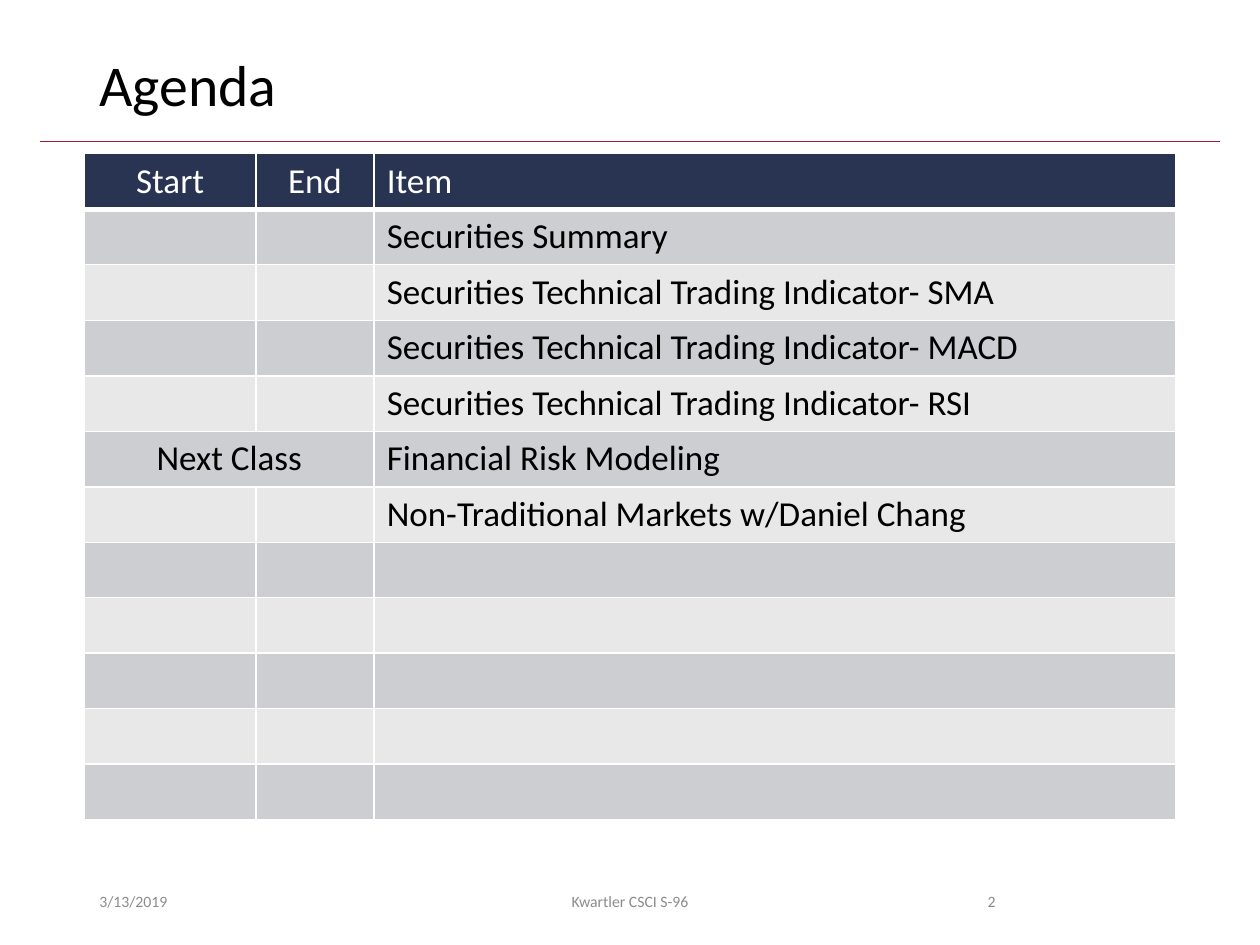
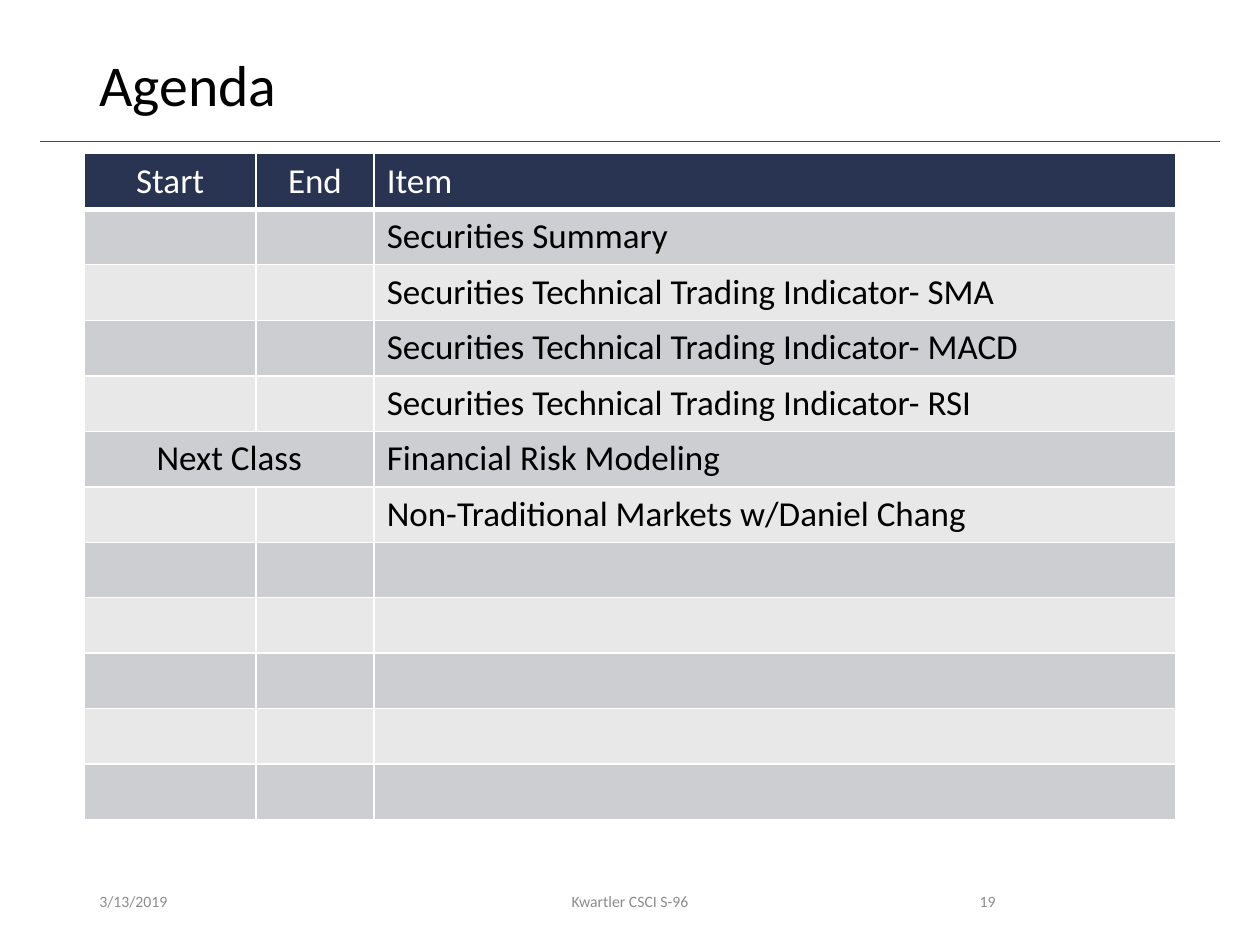
from dataclasses import dataclass

from lxml.etree import SubElement
from pptx import Presentation
from pptx.dml.color import RGBColor as Rgb
from pptx.enum.shapes import MSO_CONNECTOR as Connector
from pptx.enum.text import MSO_ANCHOR as Anchor, MSO_AUTO_SIZE as AutoSize, PP_ALIGN as Align
from pptx.oxml.ns import qn
from pptx.util import Inches, Pt


@dataclass(frozen=True)
class Theme:
    font: str = "Calibri"
    ink: str = "000000"
    white: str = "FFFFFF"
    rule: str = "A51C30"
    header: str = "293352"
    bands: tuple = ("CDCED1", "E8E8E9")
    muted: str = "8C8C8C"
    title_size: float = 33
    table_size: float = 20
    footer_size: float = 9
    rule_width: float = 0.5
    border: float = 1
    header_border: float = 3


@dataclass(frozen=True)
class Box:
    """A region measured in grid columns and rows."""
    left: float
    top: float
    width: float
    height: float

    def place(self):
        return [unit(n) for n in (self.left, self.top, self.width, self.height)]


THEME = Theme()
COLUMNS, ROWS = 100, 75
MARGIN = 6.9
TITLE = Box(MARGIN, 4, COLUMNS - 2 * MARGIN, 6.5)
RULE = Box(3.2, 11.2, COLUMNS - 2 * 3.2, 0)
AGENDA = Box(6.7, 12.2, COLUMNS - 2 * 6.7, 52.8)
FOOTER = Box(MARGIN, 69.5, COLUMNS - 2 * MARGIN, 4)

TIME_COLUMNS = (13.6, 9.4)
HEADINGS = ("Start", "End", "Item")
NEXT_CLASS = "Next Class"
ITEMS = (
    ("", "Securities Summary"),
    ("", "Securities Technical Trading Indicator- SMA"),
    ("", "Securities Technical Trading Indicator- MACD"),
    ("", "Securities Technical Trading Indicator- RSI"),
    (NEXT_CLASS, "Financial Risk Modeling"),
    ("", "Non-Traditional Markets w/Daniel Chang"),
)
AGENDA_ROWS = 12
PAGE_NUMBERS = (2, 19)


def unit(count):
    """Length of a number of grid units, ten to the inch."""
    return Inches(count / 10)


def write(frame, text, size, color, align=Align.LEFT):
    paragraph = frame.paragraphs[0]
    paragraph.alignment = align
    run = paragraph.add_run()
    run.text = text
    run.font.name = THEME.font
    run.font.size = Pt(size)
    run.font.bold = False
    run.font.color.rgb = Rgb.from_string(color)
    return paragraph


def add_title(slide, box, text):
    title = slide.shapes.title
    title.left, title.top, title.width, title.height = box.place()
    frame = title.text_frame
    frame.word_wrap = True
    frame.auto_size = AutoSize.NONE
    frame.vertical_anchor = Anchor.TOP
    write(frame, text, THEME.title_size, THEME.ink).line_spacing = 0.9


def add_rule(slide, box):
    left, top, width, height = box.place()
    rule = slide.shapes.add_connector(Connector.STRAIGHT, left, top, left + width, top + height)
    rule.line.color.rgb = Rgb.from_string(THEME.rule)
    rule.line.width = Pt(THEME.rule_width)
    SubElement(rule._element.spPr, qn("a:effectLst"))


def style_cell(cell, fill, bottom):
    # Borders come before the fill in the cell properties
    properties = cell._tc.get_or_add_tcPr()
    for side in "LRTB":
        width = bottom if side == "B" else THEME.border
        edge = SubElement(properties, qn(f"a:ln{side}"), w=str(Pt(width)))
        paint = SubElement(edge, qn("a:solidFill"))
        SubElement(paint, qn("a:srgbClr"), val=THEME.white)
    cell.fill.solid()
    cell.fill.fore_color.rgb = Rgb.from_string(fill)


def add_agenda(slide, box):
    agenda = slide.shapes.add_table(AGENDA_ROWS, len(HEADINGS), *box.place()).table
    widths = (*TIME_COLUMNS, box.width - sum(TIME_COLUMNS))
    for column, width in zip(agenda.columns, widths):
        column.width = unit(width)

    # Header and alternating bands
    for index, row in enumerate(agenda.rows):
        row.height = unit(box.height / AGENDA_ROWS)
        fill = THEME.bands[(index - 1) % 2] if index else THEME.header
        bottom = THEME.border if index else THEME.header_border
        for cell in row.cells:
            style_cell(cell, fill, bottom)

    # Headings, with the time columns centred
    for column, heading in enumerate(HEADINGS):
        align = Align.CENTER if column < len(TIME_COLUMNS) else Align.LEFT
        write(agenda.cell(0, column).text_frame, heading, THEME.table_size, THEME.white, align)

    # Items, with a note across the time columns where there is one
    for row, (note, item) in enumerate(ITEMS, start=1):
        if note:
            agenda.cell(row, 0).merge(agenda.cell(row, 1))
            write(agenda.cell(row, 0).text_frame, note, THEME.table_size, THEME.ink, Align.CENTER)
        write(agenda.cell(row, 2).text_frame, item, THEME.table_size, THEME.ink)


def add_footer(slide, box, page):
    # Offset from the footer's left edge, width, text, alignment
    parts = (
        (0, 22.5, "3/13/2019", Align.LEFT),
        ((box.width - 33.8) / 2, 33.8, "Kwartler CSCI S-96", Align.CENTER),
        (63.7, 9.4, str(page), Align.RIGHT),
    )
    for offset, width, text, align in parts:
        area = Box(box.left + offset, box.top, width, box.height)
        frame = slide.shapes.add_textbox(*area.place()).text_frame
        frame.word_wrap = True
        frame.vertical_anchor = Anchor.MIDDLE
        write(frame, text, THEME.footer_size, THEME.muted, align)


def add_agenda_slide(deck, page):
    slide = deck.slides.add_slide(deck.slide_layouts.get_by_name("Title Only"))
    add_rule(slide, RULE)
    add_title(slide, TITLE, "Agenda")
    add_agenda(slide, AGENDA)
    add_footer(slide, FOOTER, page)


deck = Presentation()
deck.slide_width, deck.slide_height = unit(COLUMNS), unit(ROWS)
for page_number in PAGE_NUMBERS:
    add_agenda_slide(deck, page_number)
deck.save("out.pptx")
